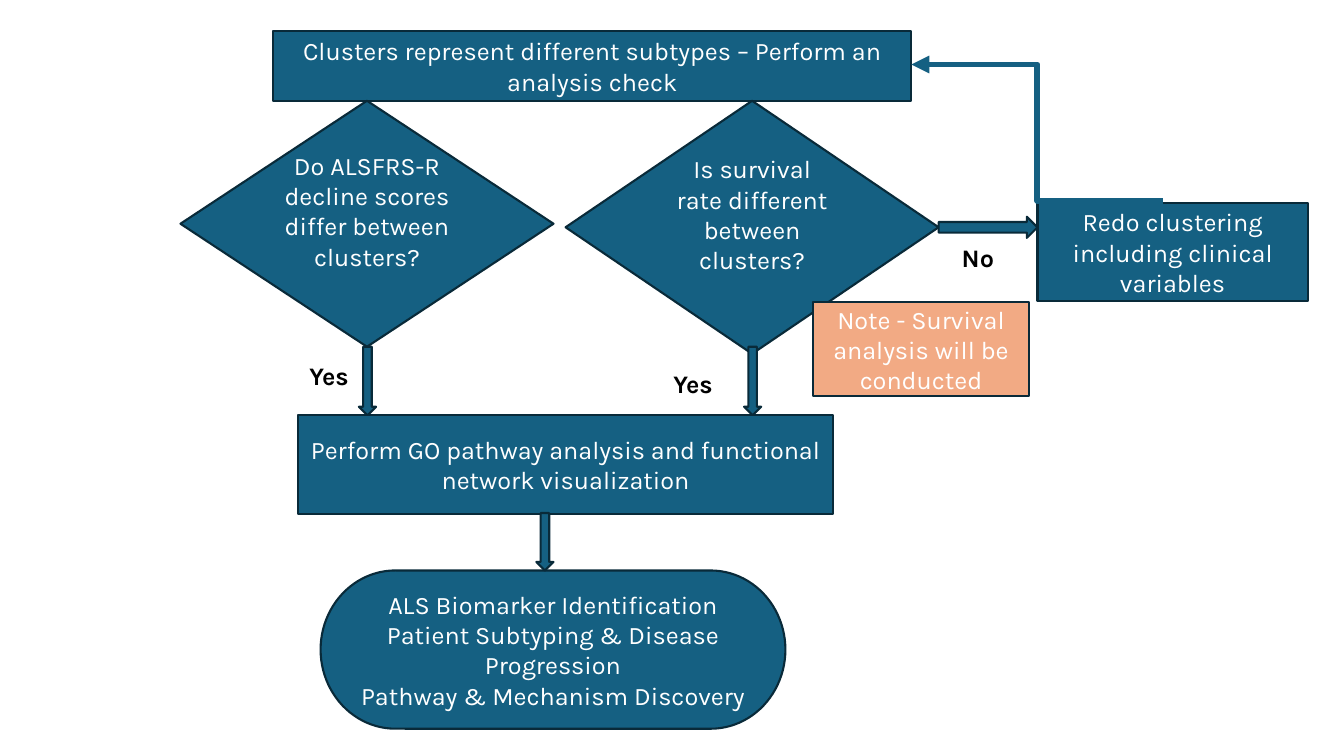
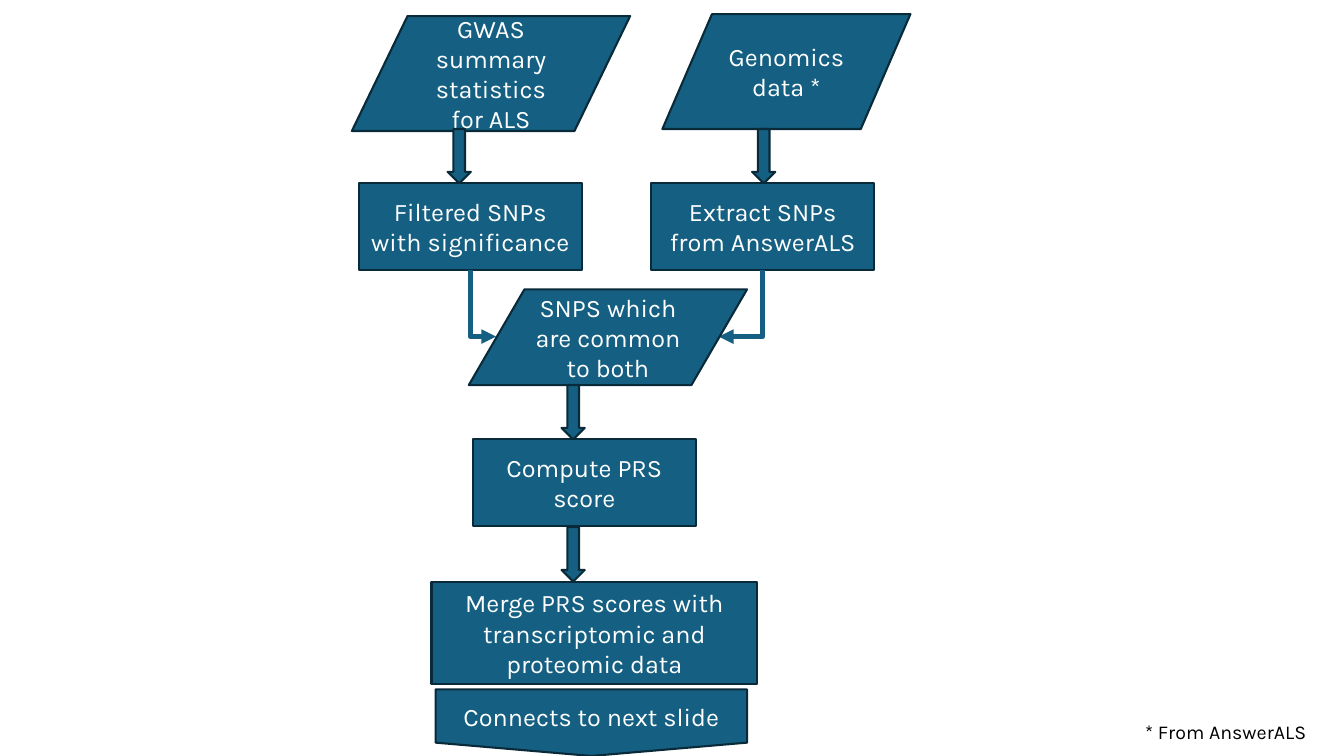
from dataclasses import dataclass

from lxml.etree import SubElement
from pptx import Presentation
from pptx.dml.color import RGBColor
from pptx.enum.shapes import MSO_CONNECTOR, MSO_SHAPE
from pptx.enum.text import MSO_ANCHOR, PP_ALIGN
from pptx.oxml.ns import qn
from pptx.util import Pt

PX = 9144  # one hundredth of an inch


@dataclass(frozen=True)
class Theme:
    font: str = "Karla"
    fill: RGBColor = RGBColor(0x15, 0x60, 0x82)
    outline: RGBColor = RGBColor(0x09, 0x2A, 0x39)
    note: RGBColor = RGBColor(0xF2, 0xAA, 0x84)
    light: RGBColor = RGBColor(0xFF, 0xFF, 0xFF)
    dark: RGBColor = RGBColor(0x00, 0x00, 0x00)
    body: int = 18
    footnote: int = 14
    outline_width: float = 1.5


@dataclass(frozen=True)
class Box:
    left: int
    top: int
    width: int
    height: int

    def inner(self, left, top, width, height):
        """Return a box whose offset is measured from this box."""
        return Box(self.left + left, self.top + top, width, height)

    def emu(self):
        return [side * PX for side in (self.left, self.top, self.width, self.height)]


THEME = Theme()
SLIDE = Box(0, 0, 1333, 750)
NODE_TEXT = {"size": Pt(THEME.body), "name": THEME.font}
LABEL_TEXT = NODE_TEXT | {"bold": True}
FOOTNOTE_TEXT = NODE_TEXT | {"size": Pt(THEME.footnote)}


def write(frame, text, values, color, align):
    frame.word_wrap = True
    frame.text = text
    for para in frame.paragraphs:
        para.alignment = align
        for span in para.runs:
            for name, value in values.items():
                setattr(span.font, name, value)
            span.font.color.rgb = color


def add_node(page, kind, box, text="", fill=THEME.fill, lift=0):
    """Draw a filled flowchart shape; lift reserves space below its text."""
    node = page.shapes.add_shape(kind, *box.emu())
    node.shadow.inherit = False
    node.fill.solid()
    node.fill.fore_color.rgb = fill
    node.line.color.rgb = THEME.outline
    node.line.width = Pt(THEME.outline_width)
    if text:
        frame = node.text_frame
        frame.vertical_anchor = MSO_ANCHOR.MIDDLE
        frame.margin_bottom += lift * PX
        write(frame, text, NODE_TEXT, THEME.light, PP_ALIGN.CENTER)
    return node


def add_label(page, box, text, values=LABEL_TEXT):
    label = page.shapes.add_textbox(*box.emu())
    write(label.text_frame, text, values, THEME.dark, PP_ALIGN.LEFT)


def add_elbow(page, box, start, finish, width, arrow_end):
    """Join two points in the box; arrow_end is headEnd (start) or tailEnd (finish)."""
    ends = [
        (offset + origin) * PX
        for point in (start, finish)
        for offset, origin in zip(point, (box.left, box.top))
    ]
    elbow = page.shapes.add_connector(MSO_CONNECTOR.ELBOW, *ends)
    elbow.line.color.rgb = THEME.fill
    elbow.line.width = Pt(width)
    SubElement(elbow.line._get_or_add_ln(), qn(f"a:{arrow_end}"), type="triangle")
    SubElement(elbow._element.spPr, qn("a:effectLst"))
    return elbow


def add_corner(page, box, tip, step):
    """Run from the bottom of a step, around one corner, to an arrow tip."""
    foot = (
        step.left // PX - box.left + step.width // PX // 2,
        (step.top + step.height) // PX - box.top,
    )
    corner = add_elbow(page, box, tip, foot, 3.5, "headEnd")
    corner._element.spPr.find(qn("a:prstGeom")).set("prst", "bentConnector2")
    corner.end_connect(step, 2)


def subtype_check(page, box):
    process = MSO_SHAPE.FLOWCHART_PROCESS
    add_node(page, process, box.inner(92, 0, 633, 69),
             "Clusters represent different subtypes – Perform an analysis check")

    decisions = [
        (0, 244, 118, "Do ALSFRS-R decline scores differ between clusters?"),
        (382, 251, 479, "Is survival rate different between clusters?"),
    ]
    for left, height, label_left, question in decisions:
        add_node(page, MSO_SHAPE.FLOWCHART_DECISION,
                 box.inner(left, 69, 370, height), question, lift=26)
        add_node(page, MSO_SHAPE.DOWN_ARROW, box.inner(left + 177, 313, 17, 68))
        add_label(page, box.inner(label_left, height + 78, 77, 40), "Yes")

    add_node(page, process, box.inner(850, 170, 268, 98),
             "Redo clustering including clinical variables")
    add_node(page, MSO_SHAPE.RIGHT_ARROW, box.inner(752, 184, 98, 21))
    add_label(page, box.inner(765, 205, 77, 40), "No")
    add_elbow(page, box, (975, 168), (725, 33), 4.25, "tailEnd")

    add_node(page, process, box.inner(117, 381, 530, 98),
             "Perform GO pathway analysis and functional network visualization")
    add_node(page, MSO_SHAPE.FLOWCHART_TERMINATOR, box.inner(139, 535, 461, 157),
             "ALS Biomarker Identification\n"
             "Patient Subtyping & Disease Progression\n"
             "Pathway & Mechanism Discovery")
    add_node(page, MSO_SHAPE.DOWN_ARROW, box.inner(353, 478, 17, 57))
    add_node(page, process, box.inner(627, 269, 215, 93),
             "Note - Survival analysis will be conducted", THEME.note)


def risk_score(page, box):
    process, data = MSO_SHAPE.FLOWCHART_PROCESS, MSO_SHAPE.FLOWCHART_DATA
    sources = [
        (box.inner(0, 2, 276, 114), "GWAS summary statistics for ALS",
         7, "Filtered SNPs with significance", 95, (143, 320)),
        (box.inner(308, 0, 246, 114), "Genomics data *",
         297, "Extract SNPs from AnswerALS", 397, (364, 320)),
    ]
    for source_box, source, step_left, step_text, arrow_left, tip in sources:
        add_node(page, data, source_box, source)
        step = add_node(page, process, box.inner(step_left, 168, 221, 86), step_text)
        add_node(page, MSO_SHAPE.DOWN_ARROW, box.inner(arrow_left, 114, 23, 54))
        add_corner(page, box, tip, step)

    stages = [
        (data, (116, 273, 276, 95), "SNPS which are common to both"),
        (process, (120, 422, 221, 86), "Compute PRS score"),
        (MSO_SHAPE.RECTANGLE, (79, 563, 323, 102),
         "Merge PRS scores with transcriptomic and proteomic data"),
        (MSO_SHAPE.FLOWCHART_OFFPAGE_CONNECTOR, (83, 670, 309, 66),
         "Connects to next slide"),
    ]
    for kind, place, text in stages:
        add_node(page, kind, box.inner(*place), text)
    for top in (368, 509):
        add_node(page, MSO_SHAPE.DOWN_ARROW, box.inner(208, top, 23, 54))


def main():
    deck = Presentation()
    deck.slide_width = SLIDE.width * PX
    deck.slide_height = SLIDE.height * PX
    blank = deck.slide_layouts[6]

    subtype_check(deck.slides.add_slide(blank), Box(179, 31, 1118, 692))

    page = deck.slides.add_slide(blank)
    risk_score(page, Box(349, 14, 554, 736))
    add_label(page, SLIDE.inner(1126, 709, 200, 34), "* From AnswerALS", FOOTNOTE_TEXT)

    deck.save("out.pptx")


if __name__ == "__main__":
    main()
